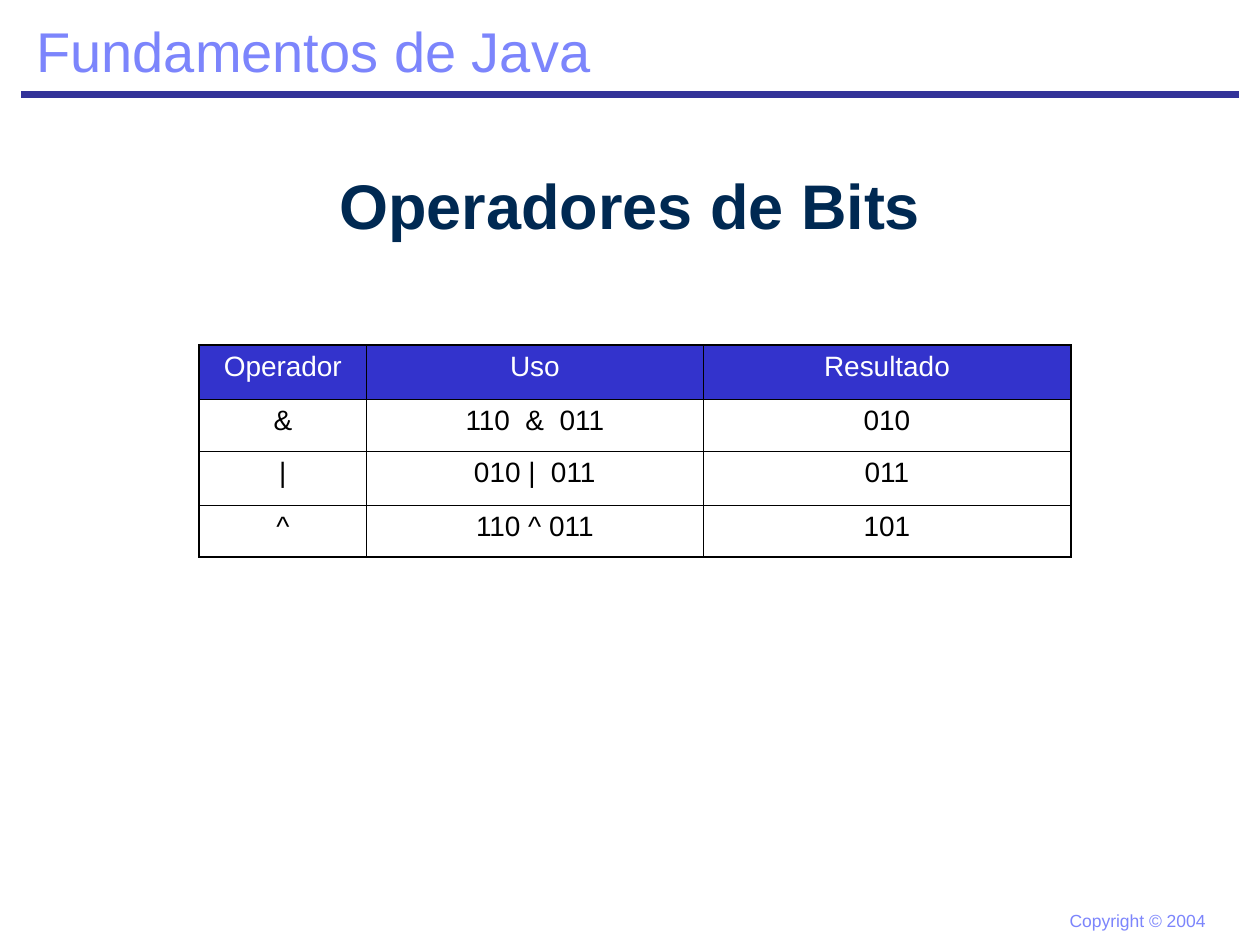
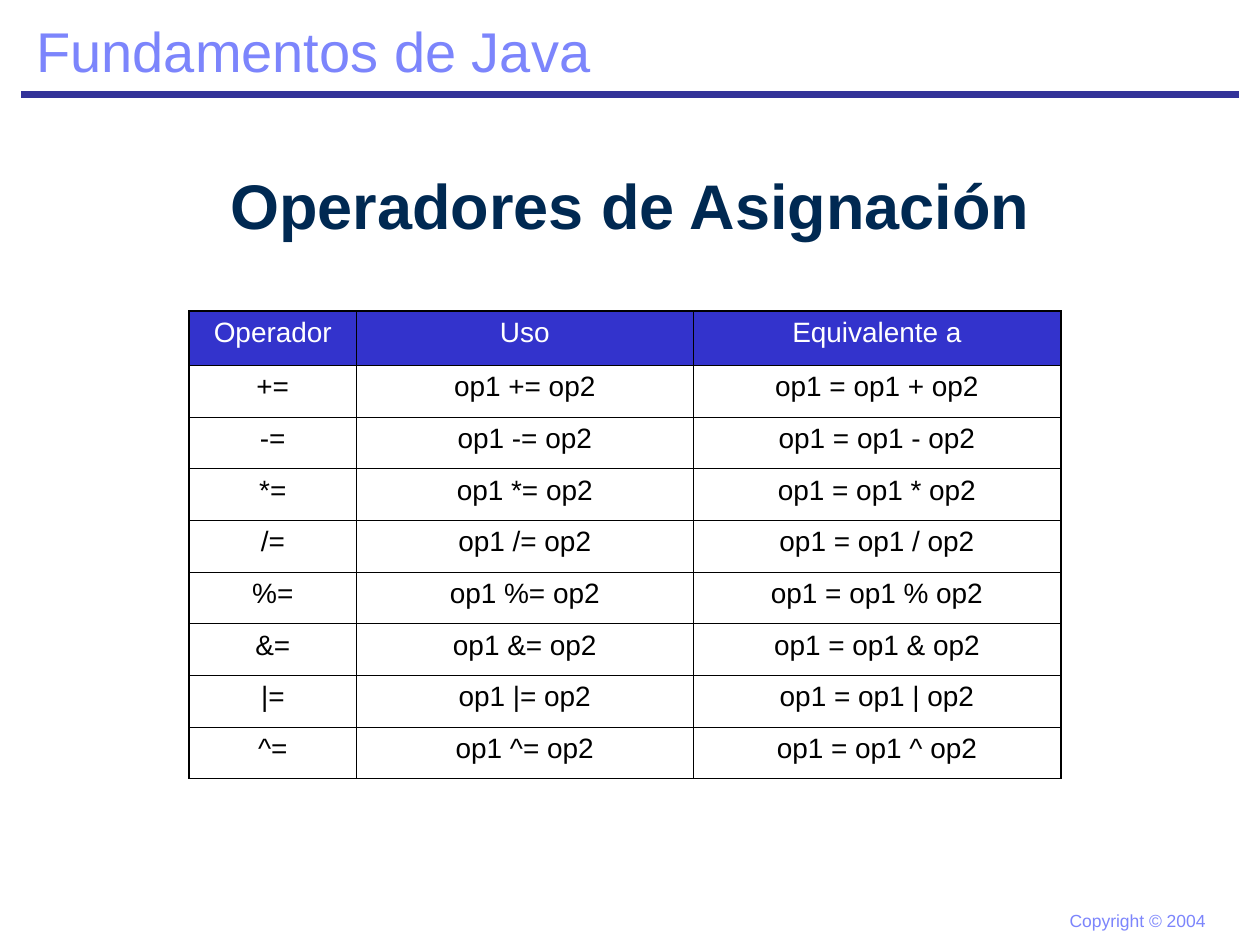
from lxml import etree
from pptx import Presentation
from pptx.dml import color
from pptx.enum import shapes, text
from pptx.oxml import ns
from pptx.util import Inches, Pt

FONT = "Arial"
LAVENDER = "7C85FC"
RULE_BLUE = "333399"
HEADER_BLUE = "3333CC"
NAVY = "002952"
BLACK = "000000"
WHITE = "FFFFFF"

COLUMN_WIDTHS = (1.33, 2.67, 2.92)
TALL_ROW, ROW = 0.43, 0.41
THIN, THICK = 0.45, 1.08

BIT_ROWS = [
    ("Operador", "Uso", "Resultado"),
    ("&", "110  &  011", "010"),
    ("|", "010 |  011", "011"),
    ("^", "110 ^ 011", "101"),
]
ASSIGNMENT_ROWS = [("Operador", "Uso", "Equivalente a")] + [
    (f"{sign}=", f"op1 {sign}= op2", f"op1 = op1 {sign} op2") for sign in "+-*/%&|^"
]


def rgb(hex_code):
    return color.RGBColor.from_string(hex_code)


def style_font(para, size, hex_code, bold=False):
    para.font.name = FONT
    para.font.size = Pt(size)
    para.font.bold = bold
    para.font.color.rgb = rgb(hex_code)


def add_label(page, wording, place, size, hex_code):
    """Add a one-line text box that grows with its text."""
    box = page.shapes.add_textbox(*map(Inches, place))
    frame = box.text_frame
    frame.word_wrap = False
    frame.auto_size = text.MSO_AUTO_SIZE.SHAPE_TO_FIT_TEXT
    frame.text = wording
    style_font(frame.paragraphs[0], size, hex_code)


def add_heading(page, wording):
    box = page.shapes.add_textbox(Inches(0), Inches(1.25), Inches(10), Inches(0.75))
    frame = box.text_frame
    frame.word_wrap = True
    frame.vertical_anchor = text.MSO_ANCHOR.MIDDLE
    frame.text = wording
    para = frame.paragraphs[0]
    para.alignment = text.PP_ALIGN.CENTER
    style_font(para, 36, NAVY, bold=True)


def add_rule(page):
    rule = page.shapes.add_connector(
        shapes.MSO_CONNECTOR.STRAIGHT,
        Inches(0.17), Inches(0.75), Inches(9.83), Inches(0.75),
    )
    rule.line.color.rgb = rgb(RULE_BLUE)
    rule.line.width = Pt(4.5)
    etree.SubElement(rule._element.spPr, ns.qn("a:effectLst"))


def add_page(deck, heading):
    """Add a page with the course title, rule, copyright line and heading."""
    page = deck.slides.add_slide(deck.slide_layouts[6])
    add_rule(page)
    add_label(page, "Copyright © 2004", (8.39, 7.17, 1.28, 0.27), 10, LAVENDER)
    add_label(page, "Fundamentos de Java", (0.19, 0.08, 4.6, 0.64), 32, LAVENDER)
    add_heading(page, heading)
    return page


def set_borders(cell, widths):
    """Draw the left, right, top and bottom borders, in that order."""
    properties = cell._tc.get_or_add_tcPr()
    for side, width in zip("LRTB", widths):
        border = etree.SubElement(properties, ns.qn(f"a:ln{side}"), w=str(Pt(width)))
        fill = etree.SubElement(border, ns.qn("a:solidFill"))
        etree.SubElement(fill, ns.qn("a:srgbClr"), val=BLACK)


def fill_cell(cell, wording, is_header):
    cell.text = wording
    para = cell.text_frame.paragraphs[0]
    para.alignment = text.PP_ALIGN.CENTER
    style_font(para, 16, WHITE if is_header else BLACK)
    if is_header:
        cell.fill.solid()
        cell.fill.fore_color.rgb = rgb(HEADER_BLUE)
    else:
        cell.fill.background()


def add_operator_table(page, rows, left, top, tall_rows):
    """Add a table with thick outer and thin inner borders."""
    heights = [TALL_ROW if index in tall_rows else ROW for index in range(len(rows))]
    table = page.shapes.add_table(
        len(rows), len(COLUMN_WIDTHS), Inches(left), Inches(top),
        Inches(sum(COLUMN_WIDTHS)), Inches(sum(heights)),
    ).table
    table.first_row = table.horz_banding = False
    for column, width in zip(table.columns, COLUMN_WIDTHS):
        column.width = Inches(width)
    last_row, last_column = len(rows) - 1, len(COLUMN_WIDTHS) - 1
    for row_index, row in enumerate(rows):
        table.rows[row_index].height = Inches(heights[row_index])
        for column_index, wording in enumerate(row):
            cell = table.cell(row_index, column_index)
            outer = (column_index == 0, column_index == last_column,
                     row_index == 0, row_index == last_row)
            set_borders(cell, [THICK if edge else THIN for edge in outer])
            fill_cell(cell, wording, is_header=row_index == 0)


def main():
    deck = Presentation()
    deck.slide_width, deck.slide_height = Inches(10), Inches(7.5)
    bits = add_page(deck, "Operadores de Bits")
    add_operator_table(bits, BIT_ROWS, 1.58, 2.74, tall_rows=(0, 2))
    assignment = add_page(deck, "Operadores de Asignación")
    add_operator_table(assignment, ASSIGNMENT_ROWS, 1.5, 2.47, tall_rows=(0,))
    deck.save("out.pptx")


if __name__ == "__main__":
    main()
